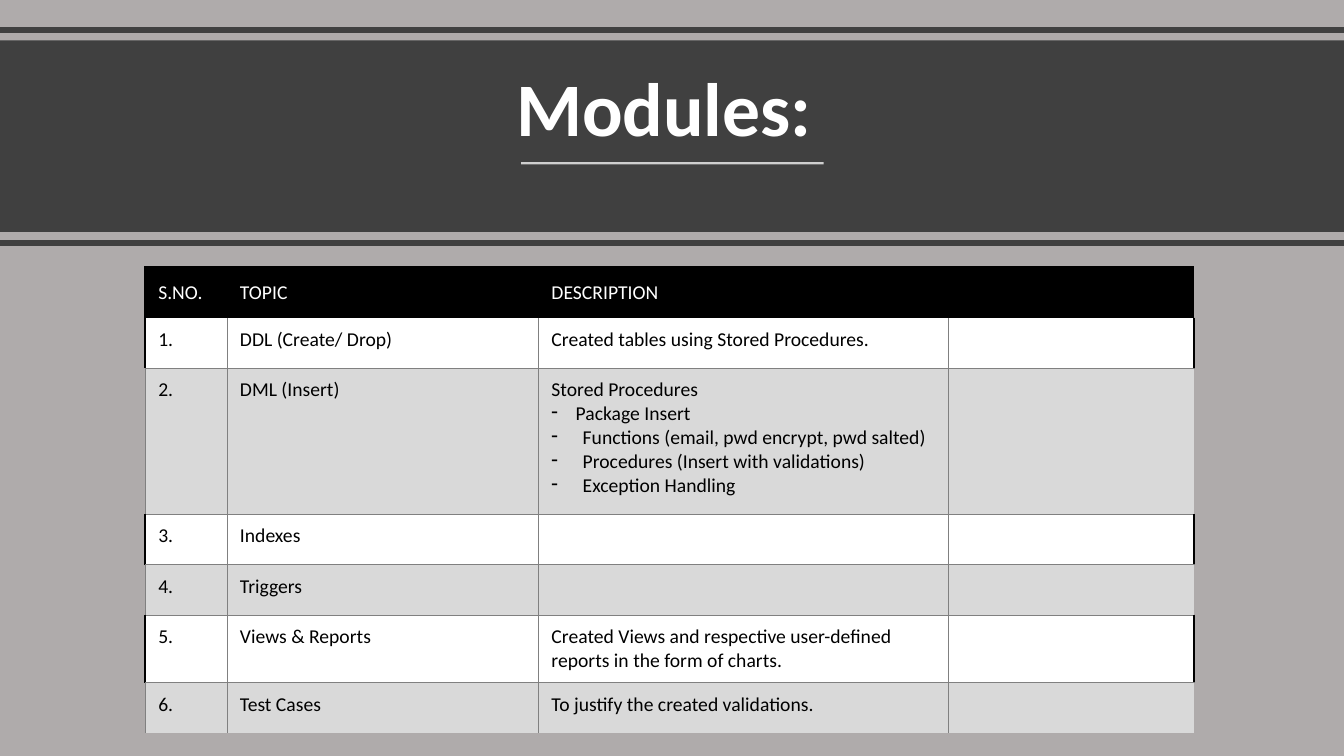
import pptx
import pptx.dml.color
import pptx.enum.shapes
import pptx.enum.text
import pptx.oxml.ns
import pptx.util
import lxml.etree

Inches = pptx.util.Inches
Pt = pptx.util.Pt
qn = pptx.oxml.ns.qn
MSO_ANCHOR = pptx.enum.text.MSO_ANCHOR
PP_ALIGN = pptx.enum.text.PP_ALIGN

COLORS = {
    "background": "AFABAB",
    "band": "404040",
    "white": "FFFFFF",
    "black": "000000",
    "stripe": "D9D9D9",
    "grid": "808080",
}
PLAIN_TABLE_STYLE = "{2D5ABB26-0587-4C30-8999-92F81FD0307C}"
SLIDE_WIDTH = 13.33
COLUMN_WIDTHS = [0.81, 3.09, 4.07, 2.43]
ROW_HEIGHTS = [0.49, 0.49, 1.45, 0.49, 0.49, 0.67, 0.49]
PROCEDURES = [
    "Stored Procedures",
    ("Package Insert", 0.24),
    ("Functions (email, pwd encrypt, pwd salted)", 0.31),
    ("Procedures (Insert with validations)", 0.31),
    ("Exception Handling", 0.31),
]
MODULES = [
    ("DDL (Create/ Drop)", ["Created tables using Stored Procedures."]),
    ("DML (Insert)", PROCEDURES),
    ("Indexes", []),
    ("Triggers", []),
    ("Views & Reports", ["Created Views and respective user-defined reports in the form of charts."]),
    ("Test Cases", ["To justify the created validations."]),
]


def rgb(name):
    return pptx.dml.color.RGBColor.from_string(COLORS[name])


def apply(target, formats):
    for attribute, value in formats.items():
        setattr(target, attribute, value)


class ModulesSlide:
    font_name = "Calibri"

    def __init__(self, presentation):
        self.slide = presentation.slides.add_slide(presentation.slide_layouts[6])
        background = self.slide.background.fill
        background.solid()
        background.fore_color.rgb = rgb("background")

    def band(self, left, top, width, height):
        band = self.slide.shapes.add_shape(
            pptx.enum.shapes.MSO_SHAPE.RECTANGLE,
            Inches(left), Inches(top), Inches(width), Inches(height))
        band.shadow.inherit = False
        band.fill.solid()
        band.fill.fore_color.rgb = rgb("band")
        band.line.fill.background()

    def rule(self, left, right, y, color, weight, opacity=100):
        rule = self.slide.shapes.add_connector(
            pptx.enum.shapes.MSO_CONNECTOR.STRAIGHT,
            Inches(left), Inches(y), Inches(right), Inches(y))
        rule.line.color.rgb = rgb(color)
        rule.line.width = Pt(weight)
        if opacity < 100:
            tint = next(rule._element.spPr.iter(qn("a:srgbClr")))
            lxml.etree.SubElement(tint, qn("a:alpha"), val=str(opacity * 1000))
        lxml.etree.SubElement(rule._element.spPr, qn("a:effectLst"))

    def words(self, paragraph, text, size, color, bold=False):
        run = paragraph.add_run()
        run.text = text
        apply(run.font, {"name": self.font_name, "size": Pt(size), "bold": bold})
        run.font.color.rgb = rgb(color)

    def title(self, text, left, top, width, height):
        frame = self.slide.shapes.add_textbox(
            Inches(left), Inches(top), Inches(width), Inches(height)).text_frame
        apply(frame, {"word_wrap": True, "vertical_anchor": MSO_ANCHOR.BOTTOM})
        heading = frame.paragraphs[0]
        apply(heading, {"alignment": PP_ALIGN.CENTER, "line_spacing": 0.9})
        self.words(heading, text, 54, "white", True)

    def cell(self, cell, entries, fill, text_color, borders, anchor):
        apply(cell, {"margin_left": Inches(0.13), "margin_right": Inches(0.1),
                     "margin_top": Inches(0.1), "margin_bottom": Inches(0.1),
                     "vertical_anchor": anchor})
        properties = cell._tc.get_or_add_tcPr()
        for side in "LRTB":
            if side in borders:
                color, weight = borders[side]
                edge = lxml.etree.SubElement(properties, qn("a:ln" + side), w=str(Pt(weight)))
                solid = lxml.etree.SubElement(edge, qn("a:solidFill"))
                lxml.etree.SubElement(solid, qn("a:srgbClr"), val=COLORS[color])
        cell.fill.solid()
        cell.fill.fore_color.rgb = rgb(fill)
        frame = cell.text_frame
        for index, entry in enumerate(entries):
            paragraph = frame.add_paragraph() if index else frame.paragraphs[0]
            if isinstance(entry, tuple):
                entry, indent = entry
                layout = paragraph._p.get_or_add_pPr()
                layout.set("marL", str(Inches(indent)))
                layout.set("indent", str(-Inches(indent)))
                lxml.etree.SubElement(layout, qn("a:buChar"), char="-")
            self.words(paragraph, entry, 14, text_color)

    def borders(self, row, column):
        grid, frame = ("grid", 0.5), ("black", 1.5)
        first, last = column == 0, column == len(COLUMN_WIDTHS) - 1
        if row == 0:
            return {"T": frame, **({"L": frame} if first else {})}
        if row % 2:
            return {"L": frame if first else grid, "R": frame if last else grid, "B": grid}
        return {"L": grid, "T": grid, **({} if last else {"R": grid})}

    def table(self, rows, left, top):
        table = self.slide.shapes.add_table(
            len(rows), len(COLUMN_WIDTHS), Inches(left), Inches(top),
            Inches(sum(COLUMN_WIDTHS)), Inches(sum(ROW_HEIGHTS))).table
        table._tbl.tblPr.find(qn("a:tableStyleId")).text = PLAIN_TABLE_STYLE
        for column, width in zip(table.columns, COLUMN_WIDTHS):
            column.width = Inches(width)
        for row, height in zip(table.rows, ROW_HEIGHTS):
            row.height = Inches(height)
        for r, row in enumerate(rows):
            header = r == 0
            fill = "black" if header else "white" if r % 2 else "stripe"
            for c, entries in enumerate(row):
                self.cell(table.cell(r, c), entries, fill,
                          "white" if header else "black", self.borders(r, c),
                          MSO_ANCHOR.MIDDLE if header else MSO_ANCHOR.TOP)


def main():
    presentation = pptx.Presentation()
    apply(presentation, {"slide_width": Inches(SLIDE_WIDTH), "slide_height": Inches(7.5)})
    modules = ModulesSlide(presentation)
    modules.band(0, 0.4, SLIDE_WIDTH, 1.9)
    for y in (0.3, 2.41):
        modules.rule(0, SLIDE_WIDTH, y, "band", 4)
    modules.title("Modules: ", 0.58, 0.54, 12.18, 1.02)
    modules.rule(5.17, 8.17, 1.62, "white", 1.5, 75)
    header = [["S.NO."], ["TOPIC"], ["DESCRIPTION"], []]
    body = [[[f"{number}."], [topic], description, []]
            for number, (topic, description) in enumerate(MODULES, 1)]
    modules.table([header] + body, 1.44, 2.65)
    presentation.save("out.pptx")


if __name__ == "__main__":
    main()
